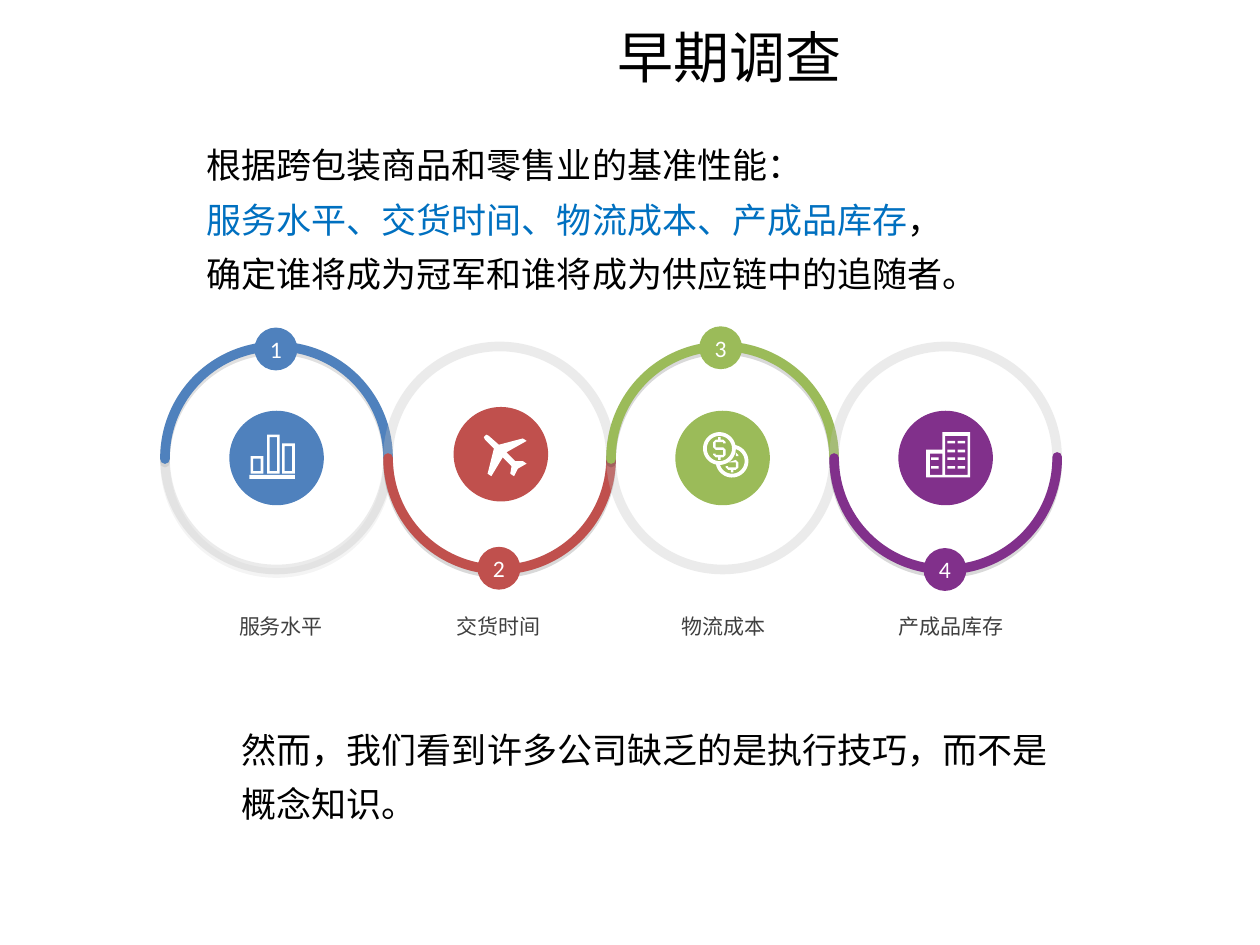
from math import cos, radians, sin

from lxml import etree
from pptx import Presentation
from pptx.dml.color import RGBColor
from pptx.enum.shapes import MSO_SHAPE
from pptx.enum.text import MSO_ANCHOR, PP_ALIGN
from pptx.oxml.ns import qn
from pptx.util import Inches, Pt

ELLIPSE, ARC = MSO_SHAPE.OVAL, MSO_SHAPE.ARC
TOP, MIDDLE = MSO_ANCHOR.TOP, MSO_ANCHOR.MIDDLE
LEFT, CENTER = PP_ALIGN.LEFT, PP_ALIGN.CENTER
CJK_FONT = "Noto Sans CJK SC"
BLACK, WHITE, BLUE, GRAY = "000000", "FFFFFF", "0070C0", "404040"
RING_LEFT, RING_TOP, RING_SIZE = 1.31, 2.75, 1.77
DISC_SIZE, BADGE_SIZE = 0.75, 0.34

STEPS = [
    ("服务水平", "4F81BD", (1.82, 3.26), (2.02, 2.6), 1.37, 8),
    ("交货时间", "C0504D", (3.6, 3.23), (3.79, 4.34), 3.1, 15),
    ("物流成本", "9BBB59", (5.36, 3.26), (5.55, 2.59), 4.88, 15),
    ("产成品库存", "81308B", (7.13, 3.26), (7.33, 4.35), 6.69, 15),
]

PLANE = [
    (4.15, 3.66), (4.09, 3.66), (4.02, 3.59), (4.18, 3.5), (4.15, 3.48),
    (3.96, 3.53), (3.88, 3.46), (3.86, 3.45), (3.85, 3.46), (3.84, 3.47),
    (3.85, 3.49), (3.92, 3.56), (3.87, 3.76), (3.9, 3.78), (3.99, 3.63),
    (4.06, 3.7), (4.05, 3.76), (4.08, 3.78), (4.11, 3.72), (4.18, 3.68),
]
DOLLAR = [
    (-0.01, -0.07), (-0.01, -0.09), (0.01, -0.09), (0.01, -0.07),
    (0.03, -0.07), (0.05, -0.05), (0.05, -0.04), (0.03, -0.04),
    (0.03, -0.05), (-0.03, -0.05), (-0.03, -0.01), (0.03, -0.01),
    (0.05, 0.01), (0.05, 0.05), (0.03, 0.07), (0.01, 0.07),
    (0.01, 0.09), (-0.01, 0.09), (-0.01, 0.07), (-0.03, 0.07),
    (-0.05, 0.05), (-0.05, 0.04), (-0.03, 0.04), (-0.03, 0.05),
    (0.03, 0.05), (0.03, 0.01), (-0.03, 0.01), (-0.05, -0.01),
    (-0.05, -0.05), (-0.03, -0.07),
]


def color(value):
    return RGBColor.from_string(value)


def set_values(target, values):
    for name, value in values.items():
        setattr(target, name, value)


def add_child(parent, tag, **attributes):
    return etree.SubElement(parent, qn(tag), attributes)


def add_run(paragraph, text, size, font, hex_color):
    run = paragraph.add_run()
    run.text = text
    set_values(run.font, {"size": Pt(size), "name": font})
    run.font.color.rgb = color(hex_color)
    add_child(run.font._element, "a:ea", typeface=font)


def add_text(slide, box, lines, size, font=CJK_FONT, align=LEFT, anchor=TOP, spacing=None):
    shape = slide.shapes.add_textbox(*map(Inches, box))
    frame = shape.text_frame
    set_values(frame, {"word_wrap": True, "vertical_anchor": anchor})
    for index, runs in enumerate(lines):
        paragraph = frame.paragraphs[0] if index == 0 else frame.add_paragraph()
        set_values(paragraph, {"alignment": align, "line_spacing": spacing})
        for text, hex_color in runs:
            add_run(paragraph, text, size, font, hex_color)


def add_shadow(shape, opacity):
    effects = shape._element.spPr.find(qn("a:effectLst"))
    shadow = add_child(effects, "a:outerShdw", blurRad="0", dist=str(Pt(2)),
                       dir="5400000", algn="t", rotWithShape="0")
    shade = add_child(shadow, "a:srgbClr", val=BLACK)
    add_child(shade, "a:alpha", val=str(opacity * 1000))


def add_outline(slide, kind, left, hex_color):
    shape = slide.shapes.add_shape(kind, Inches(left), Inches(RING_TOP),
                                   Inches(RING_SIZE), Inches(RING_SIZE))
    shape.shadow.inherit = False
    shape.fill.background()
    shape.line.width = Pt(5.5)
    shape.line.color.rgb = color(hex_color)
    return shape


def add_ring(slide, left):
    ring = add_outline(slide, ELLIPSE, left, "BFBFBF")
    line_color = ring.line._ln.find(".//" + qn("a:srgbClr"))
    add_child(line_color, "a:alpha", val="30000")
    return ring


def add_arc(slide, left, hex_color, rotation, opacity):
    arc = add_outline(slide, ARC, left, hex_color)
    arc.adjustments[0], arc.adjustments[1] = 107.66, 0
    arc.rotation = rotation
    arc.line._ln.set("cap", "rnd")
    add_shadow(arc, opacity)


def paint(shape, hex_color):
    shape.shadow.inherit = False
    shape.fill.solid()
    shape.fill.fore_color.rgb = color(hex_color)
    shape.line.fill.background()


def add_disc(slide, position, size, hex_color, text=None):
    left, top = position
    disc = slide.shapes.add_shape(ELLIPSE, Inches(left), Inches(top), Inches(size), Inches(size))
    paint(disc, hex_color)
    if text:
        frame = disc.text_frame
        set_values(frame, {"margin_left": 0, "margin_right": 0, "margin_top": 0,
                           "margin_bottom": 0, "vertical_anchor": MIDDLE})
        frame.paragraphs[0].alignment = CENTER
        add_run(frame.paragraphs[0], text, 13.5, "Calibri", WHITE)


def add_icon(slide, contours):
    outlines = [[(Inches(x), Inches(y)) for x, y in contour] for contour in contours]
    builder = slide.shapes.build_freeform(*outlines[0][0], scale=1.0)
    builder.add_line_segments(outlines[0][1:], close=True)
    for outline in outlines[1:]:
        builder.move_to(*outline[0])
        builder.add_line_segments(outline[1:], close=True)
    paint(builder.convert_to_shape(), WHITE)


def rectangle(left, top, right, bottom):
    return [(left, top), (right, top), (right, bottom), (left, bottom)]


def curve(center, radius, start, end, count=36):
    angles = [radians(start + (end - start) * i / count) for i in range(count + 1)]
    return [(center[0] + radius * cos(a), center[1] + radius * sin(a)) for a in angles]


def moved(points, center):
    return [(center[0] + x, center[1] + y) for x, y in points]


def bars_icon():
    contours = [rectangle(1.98, 3.77, 2.34, 3.8)]
    for left, top in [(1.99, 3.62), (2.12, 3.45), (2.24, 3.52)]:
        contours.append(rectangle(left, top, left + 0.1, 3.76))
        contours.append(rectangle(left + 0.02, top + 0.02, left + 0.08, 3.74))
    return contours


def coins_icon():
    front, back = (5.71, 3.56), (5.81, 3.66)
    outside = curve(front, 0.13, 102, 348) + curve(back, 0.13, 282, 528)
    crescent = curve(back, 0.1, 285, 525) + curve(front, 0.13, 86, 4)
    return [outside, curve(front, 0.1, 0, 360), crescent, moved(DOLLAR, front),
            moved(DOLLAR[4:9], back), moved(DOLLAR[11:27], back)]


def building_icon():
    outside = [(7.35, 3.57), (7.48, 3.57), (7.48, 3.43), (7.7, 3.43), (7.7, 3.79), (7.35, 3.79)]
    contours = [outside, rectangle(7.38, 3.6, 7.48, 3.77), rectangle(7.5, 3.46, 7.68, 3.77)]
    for row, top in enumerate([3.5, 3.57, 3.63, 3.7]):
        for left in [7.52, 7.6] + ([7.39] if row > 1 else []):
            contours.append(rectangle(left, top, left + 0.06, top + 0.02))
    return contours


def main():
    presentation = Presentation()
    set_values(presentation, {"slide_width": Inches(10), "slide_height": Inches(7.5)})
    slide = presentation.slides.add_slide(presentation.slide_layouts[6])

    add_text(slide, (4.53, 0.13, 2.52, 0.63), [[("早期调查", BLACK)]], 32,
             align=CENTER, anchor=MIDDLE)
    add_text(slide, (1.54, 0.99, 7.06, 1.65), [
        [("根据跨包装商品和零售业的基准性能：", BLACK)],
        [("服务水平、交货时间、物流成本、产成品库存", BLUE), ("，", BLACK)],
        [("确定谁将成为冠军和谁将成为供应链中的追随者。", BLACK)],
    ], 20, spacing=1.3)
    add_text(slide, (1.82, 5.63, 7.27, 0.63), [
        [("然而，我们看到许多公司缺乏的是执行技巧，而不是", BLACK)],
        [("概念知识。", BLACK)],
    ], 20, spacing=1.3)

    for index, (label, hex_color, disc, badge, label_left, opacity) in enumerate(STEPS):
        left = RING_LEFT + index * RING_SIZE
        ring = add_ring(slide, left)
        if index == 0:
            add_shadow(ring, 15)
        add_arc(slide, left, hex_color, index % 2 * 180, opacity)
        add_disc(slide, disc, DISC_SIZE, hex_color)
        add_disc(slide, badge, BADGE_SIZE, hex_color, str(index + 1))
        add_text(slide, (label_left, 4.72, 1.72, 0.37), [[(label, GRAY)]], 12,
                 font="Arial", align=CENTER, spacing=1.5)

    for contours in [[PLANE], coins_icon(), bars_icon(), building_icon()]:
        add_icon(slide, contours)
    presentation.save("out.pptx")


if __name__ == "__main__":
    main()
